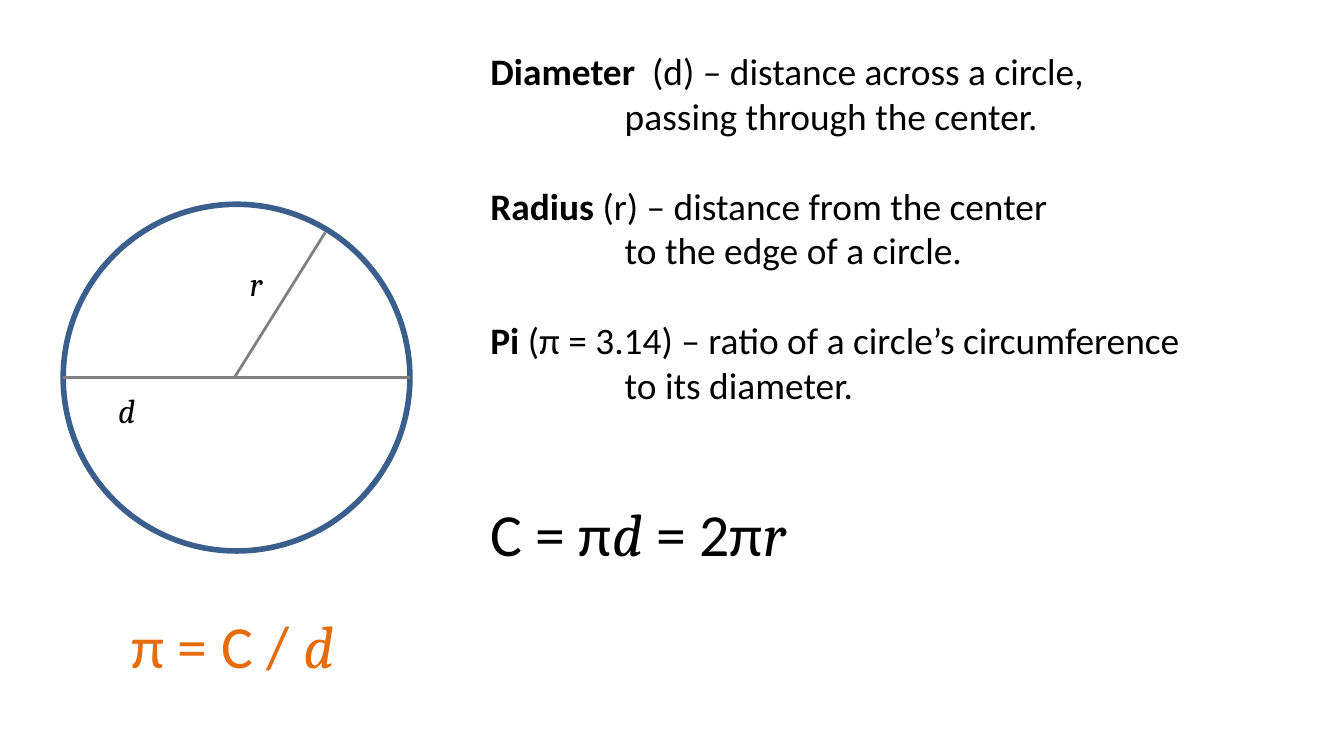
from pptx import Presentation, util as u
from pptx.dml.color import RGBColor
from pptx.enum import shapes, text
from pptx.oxml.ns import qn
from lxml import etree

PX = 9144  # EMU in one px, 100 px to the inch
BLACK, ORANGE, BLUE, GRAY = "000000", "E46C0A", "3A5F8C", "808080"


def px(*lengths):
    return [u.Emu(length * PX) for length in lengths]


def color(hex_string):
    return RGBColor.from_string(hex_string)


def add_run(paragraph, words, size=20, font="Calibri", fill=BLACK, bold=False, italic=False):
    run = paragraph.add_run()
    run.text = words
    run.font.size = u.Pt(size)
    run.font.name = font
    run.font.bold = bold
    run.font.italic = italic
    run.font.color.rgb = color(fill)


def add_variable(paragraph, letter, **style):
    add_run(paragraph, letter, font="Cambria", italic=True, **style)


def add_tab_stop(paragraph, position):
    stops = etree.SubElement(paragraph._p.get_or_add_pPr(), qn("a:tabLst"))
    etree.SubElement(stops, qn("a:tab"), pos=str(position * PX), algn="l")


def add_text_frame(slide, box, wrap=False):
    frame = slide.shapes.add_textbox(*px(*box)).text_frame
    frame.word_wrap = wrap
    frame.auto_size = text.MSO_AUTO_SIZE.SHAPE_TO_FIT_TEXT
    return frame


def add_line(slide, start, end):
    line = slide.shapes.add_connector(shapes.MSO_CONNECTOR.STRAIGHT, *px(*start, *end))
    line.line.color.rgb = color(GRAY)
    line.line.width = u.Pt(1.5)
    etree.SubElement(line._element.spPr, qn("a:effectLst"))


def add_circle_diagram(slide, box):
    """Circle with its diameter, a radius and their labels."""
    left, top, width, height = box
    center_x, center_y = left + width // 2, top + height // 2
    circle = slide.shapes.add_shape(shapes.MSO_SHAPE.OVAL, *px(*box))
    circle.shadow.inherit = False
    circle.fill.background()
    circle.line.color.rgb = color(BLUE)
    circle.line.width = u.Pt(3)
    for letter, x, y, label_width in (("d", 31, 133, 55), ("r", 129, 39, 50)):
        frame = add_text_frame(slide, (left + x, top + y, label_width, 40), wrap=True)
        add_variable(frame.paragraphs[0], letter, size=18)
    add_line(slide, (left, center_y), (left + width, center_y))
    add_line(slide, (center_x - 1, center_y - 1), (center_x + 66, center_y - 108))


def add_definitions(slide, box, definitions):
    """Bold terms with a two-line meaning, the second line indented by a tab."""
    frame = add_text_frame(slide, box)
    for index, (term, first_line, second_line) in enumerate(definitions):
        paragraph = frame.add_paragraph() if index else frame.paragraphs[0]
        if index:
            paragraph.space_before = u.Pt(24)
        add_tab_stop(paragraph, 100)
        add_run(paragraph, term, bold=True)
        add_run(paragraph, first_line)
        paragraph.add_line_break()
        add_run(paragraph, "\t" + second_line)


def add_formula(slide, box, parts, fill=BLACK):
    """Formula made of pairs: plain words, then an italic variable."""
    paragraph = add_text_frame(slide, box).paragraphs[0]
    for words, variable in parts:
        add_run(paragraph, words, size=32, fill=fill)
        add_variable(paragraph, variable, size=32, fill=fill)


def main():
    presentation = Presentation()
    presentation.slide_width = u.Inches(10)
    presentation.slide_height = presentation.slide_width * 9 // 16
    slide = presentation.slides.add_slide(presentation.slide_layouts[6])
    add_circle_diagram(slide, (47, 152, 258, 258))
    add_definitions(slide, (355, 31, 545, 279), [
        ("Diameter", "  (d) – distance across a circle, ", "passing through the center."),
        ("Radius", " (r) – distance from the center ", "to the edge of a circle."),
        ("Pi", " (π = 3.14) – ratio of a circle’s circumference ", "to its diameter."),
    ])
    add_formula(slide, (355, 365, 250, 64), [("C = π", "d"), (" = 2π", "r")])
    add_formula(slide, (88, 448, 175, 64), [("π = C / ", "d")], fill=ORANGE)
    presentation.save("out.pptx")


if __name__ == "__main__":
    main()
